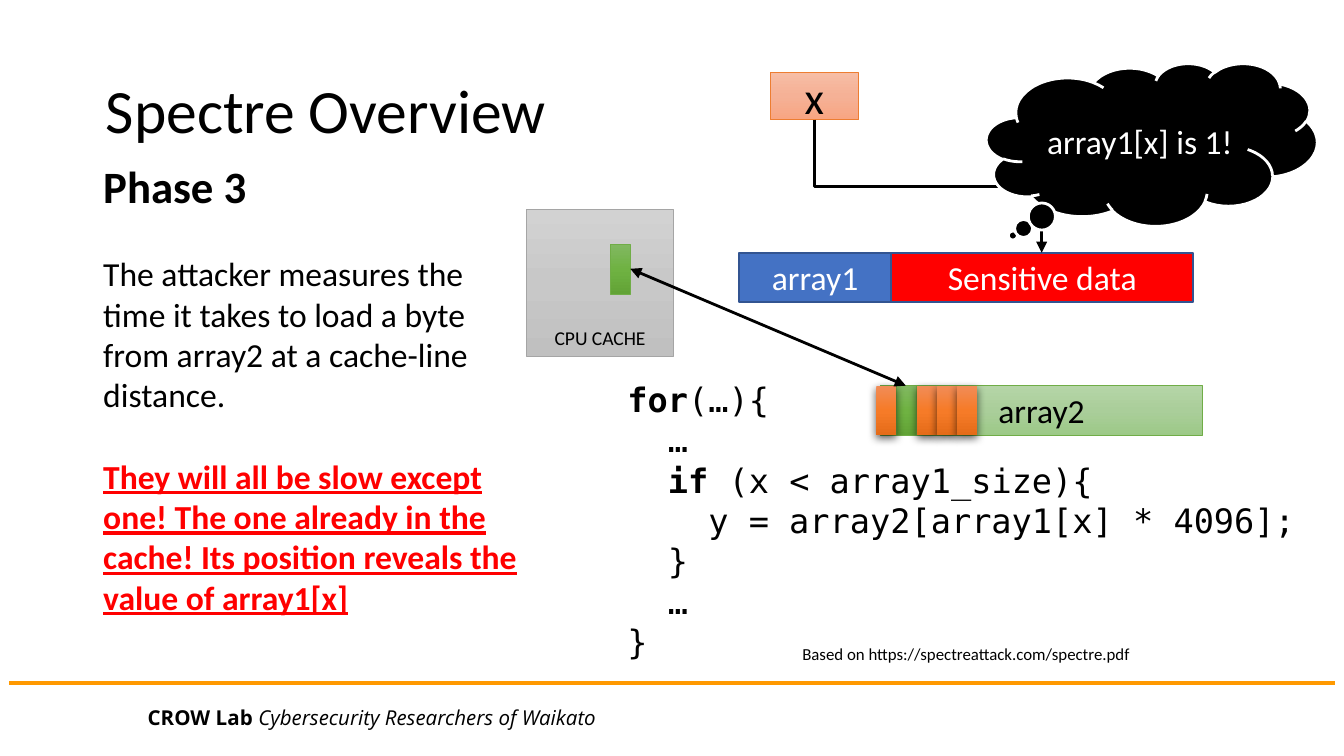
from copy import deepcopy

from lxml.etree import SubElement
from pptx import Presentation
from pptx.dml.color import RGBColor
from pptx.enum.shapes import MSO_CONNECTOR, MSO_SHAPE
from pptx.enum.text import MSO_ANCHOR, PP_ALIGN
from pptx.oxml.ns import qn
from pptx.util import Pt

PX = 9144  # 100 px to the inch

BLACK = RGBColor(0x00, 0x00, 0x00)
WHITE = RGBColor(0xFF, 0xFF, 0xFF)
RED = RGBColor(0xFF, 0x00, 0x00)
BLUE = RGBColor(0x44, 0x72, 0xC4)
NAVY = RGBColor(0x32, 0x54, 0x91)
AMBER = RGBColor(0xFF, 0x99, 0x00)
GREEN = RGBColor(0x70, 0xAD, 0x47)
GRAY = RGBColor(0xA5, 0xA5, 0xA5)
ORANGE = RGBColor(0xED, 0x7D, 0x31)


def shades(*codes):
    return [RGBColor.from_string(code) for code in codes]


PALE = shades("B5D5A7", "AACE9A", "9CC987")
LEAF = shades("81B861", "6FB242", "62A336")
STEEL = shades("D2D2D2", "C8C8C8", "C0C0C0")
RUST = shades("F18C57", "F67B28", "E56C19")
PEACH = shades("F7BDA5", "F5B196", "F8A582")

# A paragraph is a list of runs: (text, styles), b bold, i italic, u underlined.
FOOTER = [[("CROW Lab ", "b"), ("Cybersecurity Researchers of Waikato", "i")]]
TITLE = [[("Spectre Overview", "")]]
PHASE = [[("Phase 3", "b")]]
STORY = [
    [("The attacker measures the time it takes to load a byte from array2 "
      "at a cache-line distance.", "")],
    [("They will all be slow except one! The one already in the cache! "
      "Its position reveals the value of array1[x]", "bu")],
]
CODE = [
    [("for", "b"), ("(…){", "")],
    [("  …", "")],
    [("  ", ""), ("if", "b"), (" (x < array1_size){", "")],
    [("    y = array2[array1[x] * 4096];", "")],
    [("  }", "")],
    [("  …", "")],
    [("}", "")],
]
SOURCE = [[("Based on https://spectreattack.com/spectre.pdf", "")]]

# box, fill, line, line width, label, label size, label colour
MEMORY = [
    ((550, 188, 113, 37), BLUE, NAVY, 1, "array1", 18, WHITE),
    ((663, 188, 225, 37), RED, NAVY, 1, "Sensitive data", 18, WHITE),
    ((655, 287, 240, 37), PALE, GREEN, 0.5, "array2", 18, BLACK),
    ((573, 54, 66, 35), PEACH, ORANGE, 0.5, "x", 24, BLACK),
]
CACHE = (392, 156, 109, 109)
CELL = (15, 37)
CELLS = (652, 287)
HIT, COUNT = 1, 5

prs = Presentation()
prs.slide_width = 1000 * PX
prs.slide_height = prs.slide_width * 9 // 16
slide = prs.slides.add_slide(prs.slide_layouts[6])


def scale(box):
    return [n * PX for n in box]


def write(para, runs, size, color=BLACK, font="Calibri"):
    for text, style in runs:
        run = para.add_run()
        run.text = text
        face = run.font
        face.name, face.size = font, Pt(size)
        face.color.rgb = color
        face.bold, face.italic = "b" in style, "i" in style
        face.underline = "u" in style


def add_text(box, paras, size, font="Calibri"):
    frame = slide.shapes.add_textbox(*scale(box)).text_frame
    frame.word_wrap = True
    for n, runs in enumerate(paras):
        para = frame.add_paragraph() if n else frame.paragraphs[0]
        write(para, runs, size, font=font)
    return frame


def blend(shape, colors):
    """Fill from top to bottom with three evenly spaced colours."""
    fill = shape.fill
    fill.gradient()
    fill.gradient_angle = 270
    stops = shape._element.spPr.find(qn("a:gradFill")).find(qn("a:gsLst"))
    stops.insert(1, deepcopy(stops[0]))
    for n, (stop, color) in enumerate(zip(fill.gradient_stops, colors)):
        stop.position = n / 2
        stop.color.rgb = color


def add_shape(box, fill, line=None, width=0.5, kind=MSO_SHAPE.RECTANGLE):
    shape = slide.shapes.add_shape(kind, *scale(box))
    shape.shadow.inherit = False
    if isinstance(fill, list):
        blend(shape, fill)
    else:
        shape.fill.solid()
        shape.fill.fore_color.rgb = fill
    if line is None:
        shape.line.fill.background()
    else:
        shape.line.color.rgb = line
        shape.line.width = Pt(width)
    return shape


def label(shape, text, size, color=BLACK, anchor=MSO_ANCHOR.MIDDLE):
    frame = shape.text_frame
    frame.vertical_anchor = anchor
    para = frame.paragraphs[0]
    para.alignment = PP_ALIGN.CENTER
    write(para, [(text, "")], size, color)


def cast(shape):
    """Drop a soft shadow below the shape."""
    effects = shape._element.spPr.find(qn("a:effectLst"))
    drop = SubElement(effects, qn("a:outerShdw"), blurRad=str(Pt(4.5)),
                      dist=str(Pt(1.5)), dir="5400000", rotWithShape="0")
    shade = SubElement(drop, qn("a:srgbClr"), val=str(BLACK))
    SubElement(shade, qn("a:alpha"), val="63000")


def add_line(start, end, color, width, ends=(), kind=MSO_CONNECTOR.STRAIGHT):
    link = slide.shapes.add_connector(kind, *scale(start + end))
    link.line.color.rgb = color
    link.line.width = Pt(width)
    for tip in ends:
        SubElement(link.line._get_or_add_ln(), qn(tip), type="triangle")
    SubElement(link._element.spPr, qn("a:effectLst"))
    return link


add_text((100, 520, 419, 29), FOOTER, 11, "Open Sans")
add_line((7, 508), (993, 508), AMBER, 2.25)

title = add_text((69, 30, 356, 109), TITLE, 33)
title.vertical_anchor = MSO_ANCHOR.MIDDLE
title.paragraphs[0].line_spacing = 0.9
add_text((457, 277, 524, 222), CODE, 18, "DejaVu Sans Mono")

body = add_text((67, 113, 330, 384), PHASE, 24)
for runs in STORY:
    para = body.add_paragraph()
    para.space_before = Pt(22)
    write(para, runs, 18)
body.paragraphs[-1].runs[0].font.color.rgb = RED

for box, fill, line, width, text, size, color in MEMORY:
    label(add_shape(box, fill, line, width), text, size, color)

label(add_shape(CACHE, STEEL, GRAY), "CPU CACHE", 10.5, anchor=MSO_ANCHOR.BOTTOM)
add_shape((454, 182) + CELL, LEAF, GREEN)

left, top = CELLS
spots = [(left + n * CELL[0], top) + CELL for n in range(COUNT)]
add_shape(spots[HIT], LEAF, GREEN)
for n, spot in enumerate(spots):
    if n != HIT:
        cast(add_shape(spot, RUST))

# The elbow leaves x downwards, so its frame is turned a quarter and mirrored.
elbow = add_line((641, 54), (740, 223), BLACK, 1.5, ["a:tailEnd"], MSO_CONNECTOR.ELBOW)
frame = elbow._element.spPr.find(qn("a:xfrm"))
frame.set("rot", "16200000")
frame.set("flipH", "1")

cloud = add_shape((734, 47, 246, 121), BLACK, WHITE, 1.5, MSO_SHAPE.CLOUD_CALLOUT)
cloud.adjustments[0], cloud.adjustments[1] = -0.42, 0.56
label(cloud, "array1[x] is 1!", 18, WHITE)

add_line((469, 200), (674, 287), BLACK, 1.5, ["a:headEnd", "a:tailEnd"])
note = add_text((506, 474, 425, 25), SOURCE, 9)
note.paragraphs[0].alignment = PP_ALIGN.CENTER

prs.save("out.pptx")
